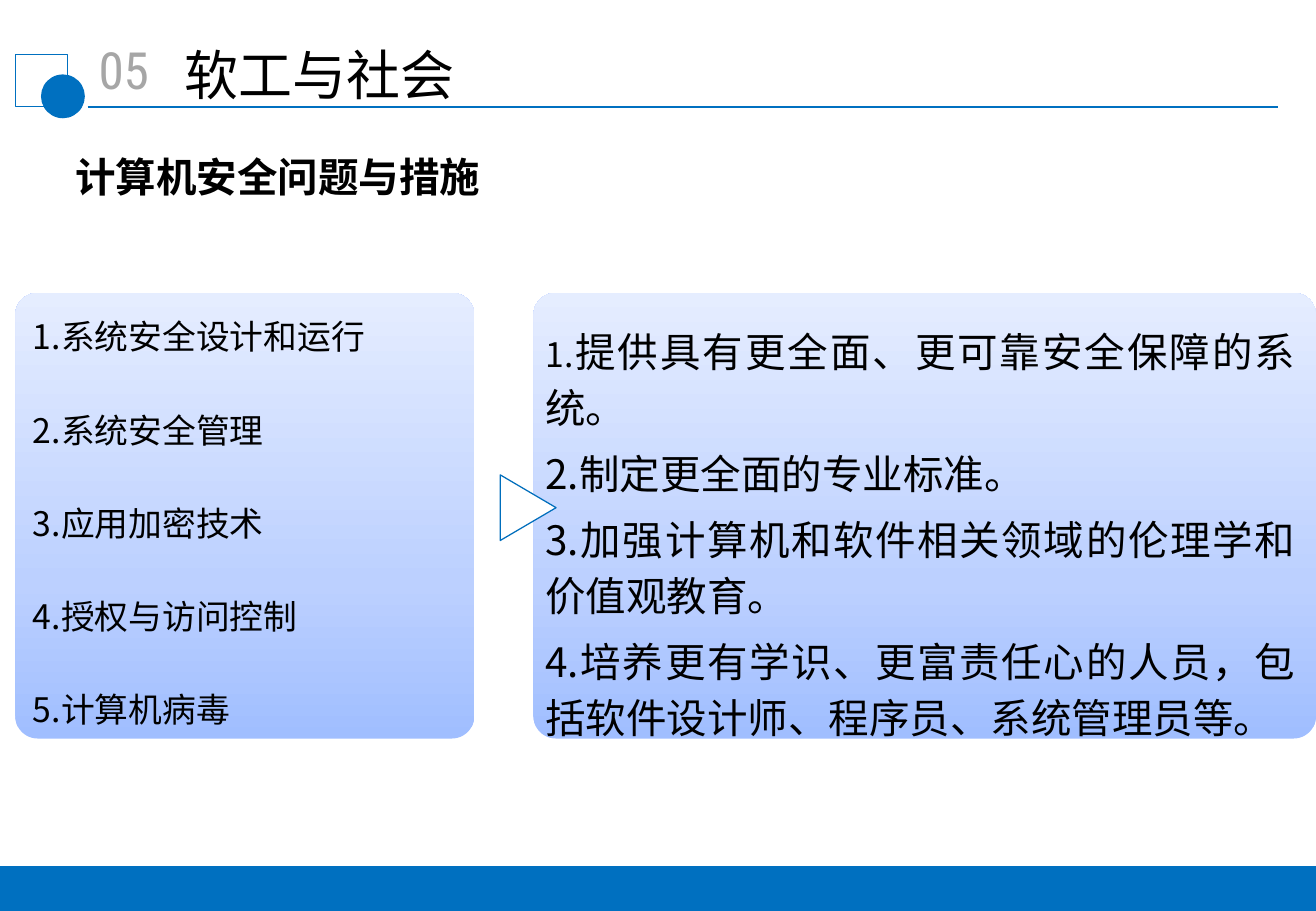
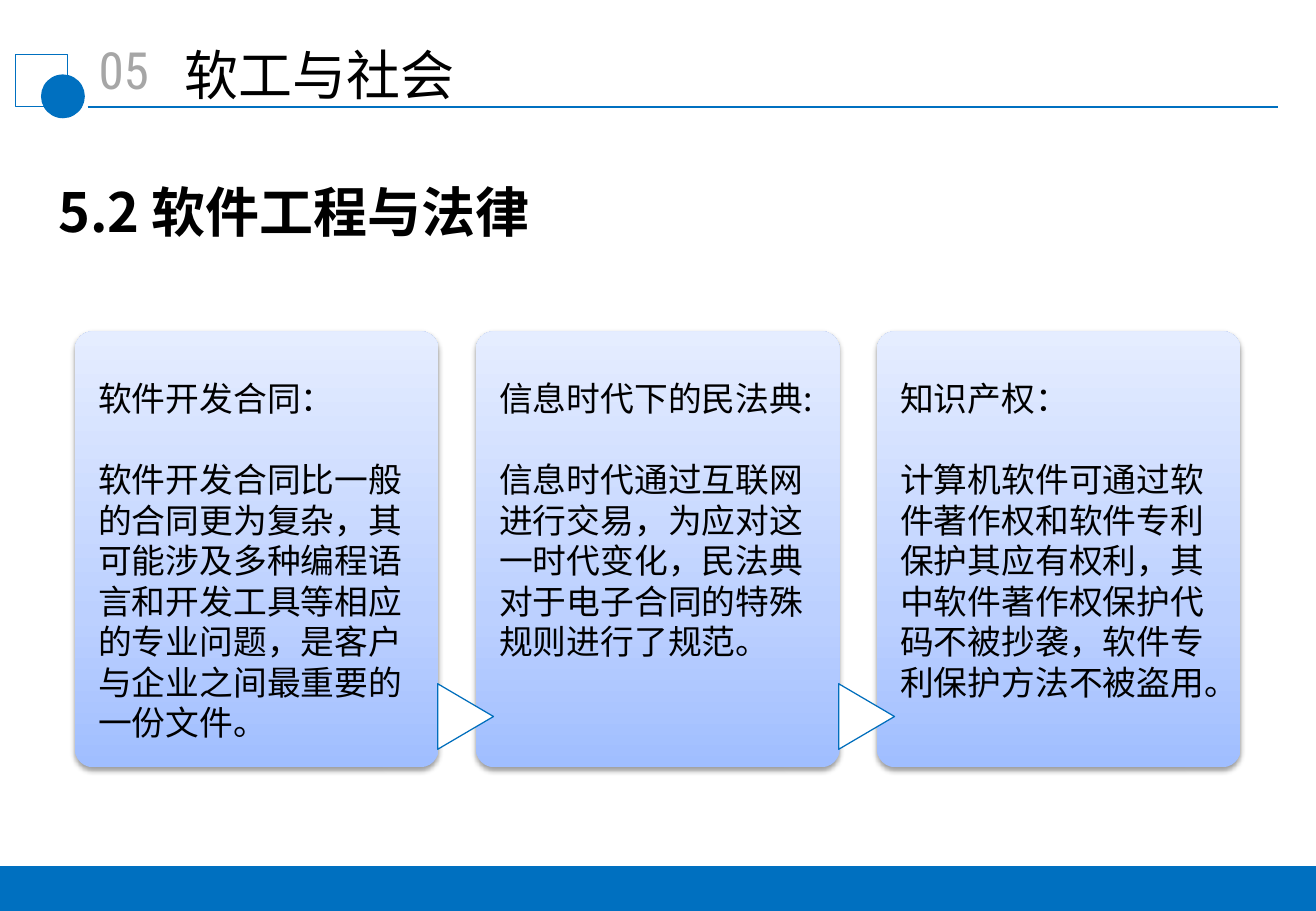
from lxml import etree
from pptx import Presentation
from pptx.dml.color import RGBColor
from pptx.enum.shapes import MSO_CONNECTOR, MSO_SHAPE
from pptx.enum.text import MSO_ANCHOR, MSO_AUTO_SIZE, PP_ALIGN
from pptx.oxml.ns import qn
from pptx.util import Pt

LEFT, CENTER, JUSTIFY = PP_ALIGN.LEFT, PP_ALIGN.CENTER, PP_ALIGN.JUSTIFY
TOP, NO_FIT = MSO_ANCHOR.TOP, MSO_AUTO_SIZE.NONE
STRAIGHT = MSO_CONNECTOR.STRAIGHT
RECTANGLE, OVAL = MSO_SHAPE.RECTANGLE, MSO_SHAPE.OVAL
ROUNDED, TRIANGLE = MSO_SHAPE.ROUNDED_RECTANGLE, MSO_SHAPE.FLOWCHART_EXTRACT

# Content
CHAPTER_NUMBER, CHAPTER_TITLE = "05", "软工与社会"
SAFETY_HEADING = "计算机安全问题与措施"
SAFETY_ISSUES = [
    "1.系统安全设计和运行",
    "2.系统安全管理",
    "3.应用加密技术",
    "4.授权与访问控制",
    "5.计算机病毒",
]
# A paragraph may be a list of (text, size) runs
SAFETY_MEASURES = [
    [("1.", 20), ("提供具有更全面、更可靠安全保障的系统。", 24)],
    "2.制定更全面的专业标准。",
    "3.加强计算机和软件相关领域的伦理学和价值观教育。",
    "4.培养更有学识、更富责任心的人员，包括软件设计师、程序员、系统管理员等。",
]
LAW_HEADING = "5.2 软件工程与法律"
LAW_TOPICS = [
    ("软件开发合同：",
     "软件开发合同比一般的合同更为复杂，其可能涉及多种编程语言和开发工具等相应的专业问题，是客户与企业之间最重要的一份文件。"),
    ("信息时代下的民法典:",
     "信息时代通过互联网进行交易，为应对这一时代变化，民法典对于电子合同的特殊规则进行了规范。"),
    ("知识产权：",
     "计算机软件可通过软件著作权和软件专利保护其应有权利，其中软件著作权保护代码不被抄袭，软件专利保护方法不被盗用。"),
]

# Shared style
COLORS = {"blue": "0070C0", "outline": "006EBC", "gray": "A6A6A6",
          "black": "000000", "white": "FFFFFF"}
CARD_GRADIENT = [(0, "A0BEFF"), (35, "BCD0FF"), (100, "E5EDFF")]
CJK_FONT, TITLE_FONT, NUMBER_FONT = "Noto Sans CJK SC", "Arial", "Roboto Condensed"
SLIDE_WIDTH, SLIDE_HEIGHT = 780, 540
FOOTER_HEIGHT = 26.6
BASELINE_SHIFT = 0.08  # of the text size, applied with exact line spacing


def rgb(name):
    return RGBColor.from_string(COLORS[name])


def format_text(shape, paragraphs, size=20, font=CJK_FONT, color="black", bold=False,
                align=LEFT, leading=1.2, after=0, insets=(7.2, 3.6, 7.2, 3.6)):
    """Fill a shape with paragraphs; leading is a multiple of the size."""
    frame = shape.text_frame
    frame.word_wrap = True
    frame.auto_size = NO_FIT
    frame.vertical_anchor = TOP
    left, top, right, bottom = insets
    if leading:
        top += size * BASELINE_SHIFT
    frame.margin_left, frame.margin_top = Pt(left), Pt(top)
    frame.margin_right, frame.margin_bottom = Pt(right), Pt(bottom)
    for index, content in enumerate(paragraphs):
        paragraph = frame.add_paragraph() if index else frame.paragraphs[0]
        paragraph.alignment = align
        paragraph.space_before = Pt(0)
        paragraph.space_after = Pt(after if index < len(paragraphs) - 1 else 0)
        if leading:
            paragraph.line_spacing = Pt(round(size * leading, 1))
        runs = [(content, size)] if isinstance(content, str) else content
        for text, run_size in runs:
            run = paragraph.add_run()
            run.text = text
            run.font.size = Pt(run_size)
            run.font.bold = bold
            run.font.color.rgb = rgb(color)
            run.font.name = font
            east_asian = etree.SubElement(run.font._element, qn("a:ea"))
            east_asian.set("typeface", CJK_FONT)


def add_text(slide, box, paragraphs, **options):
    shape = slide.shapes.add_textbox(*map(Pt, box))
    format_text(shape, paragraphs, **options)


def add_shape(slide, kind, box, fill=None, line=None):
    shape = slide.shapes.add_shape(kind, *map(Pt, box))
    shape.shadow.inherit = False
    if fill:
        shape.fill.solid()
        shape.fill.fore_color.rgb = rgb(fill)
    else:
        shape.fill.background()
    if line:
        shape.line.color.rgb = rgb(line)
        shape.line.width = Pt(0.75)
    else:
        shape.line.fill.background()
    return shape


def add_card(slide, box, shadow=False):
    card = add_shape(slide, ROUNDED, box)
    card.adjustments[0] = 0.05
    card.fill.gradient()
    properties = card._element.spPr
    stops = properties.find(".//" + qn("a:gsLst"))
    for stop in list(stops):
        stops.remove(stop)
    for position, color in CARD_GRADIENT:
        stop = etree.SubElement(stops, qn("a:gs"), pos=str(position * 1000))
        etree.SubElement(stop, qn("a:srgbClr"), val=color)
    direction = properties.find(".//" + qn("a:lin"))
    direction.set("ang", str(270 * 60000))
    direction.set("scaled", "0")
    if shadow:
        effects = properties.find(qn("a:effectLst"))
        outer = etree.SubElement(effects, qn("a:outerShdw"), blurRad=str(Pt(3.1)),
                                 dist=str(Pt(1.6)), dir=str(90 * 60000), rotWithShape="0")
        color = etree.SubElement(outer, qn("a:srgbClr"), val=COLORS["black"])
        etree.SubElement(color, qn("a:alpha"), val="38000")


def add_arrow(slide, left, top):
    arrow = add_shape(slide, TRIANGLE, (left, top, 38.9, 33.1), "white", "outline")
    arrow.rotation = 90


def add_base_slide(presentation):
    """Title, chapter badge, rule and footer band."""
    slide = presentation.slides.add_slide(presentation.slide_layouts[5])
    title = slide.shapes.title
    title.left, title.top, title.width, title.height = map(Pt, (101.5, 17.3, 356.4, 46.8))
    format_text(title, [CHAPTER_TITLE], size=32, font=TITLE_FONT, leading=1.24,
                insets=(7.9, 3.6, 7.9, 3.6))
    rule = slide.shapes.add_connector(STRAIGHT, Pt(52), Pt(63.2), Pt(757.6), Pt(63.2))
    rule.line.color.rgb = rgb("blue")
    rule.line.width = Pt(1.25)
    etree.SubElement(rule._element.spPr, qn("a:effectLst"))
    add_shape(slide, RECTANGLE, (9.2, 32.2, 31, 31), line="blue")
    add_shape(slide, OVAL, (24.3, 44.1, 26, 26), "blue")
    add_text(slide, (37.4, 19.4, 72, 44.6), [CHAPTER_NUMBER], size=30.4, font=NUMBER_FONT,
             color="gray", align=CENTER, leading=None, insets=(7.9, 3.6, 7.9, 3.6))
    add_shape(slide, RECTANGLE,
              (0, SLIDE_HEIGHT - FOOTER_HEIGHT, SLIDE_WIDTH, FOOTER_HEIGHT), "blue")
    return slide


def add_heading(slide, box, text, size):
    add_text(slide, box, [text], size=size, bold=True, insets=(5, 2.9, 5, 2.9))


def build_safety_slide(presentation):
    slide = add_base_slide(presentation)
    add_heading(slide, (39.6, 85, 311.8, 39.6), SAFETY_HEADING, 24)
    top, height = 173.6, 264.2
    add_card(slide, (9.1, top, 272, height))
    add_text(slide, (12.4, 178.6, 265.7, 254.9), SAFETY_ISSUES, align=JUSTIFY,
             leading=1.38, after=27.6)
    add_card(slide, (316.2, top, SLIDE_WIDTH - 316.2, height))
    add_text(slide, (316.2, 184, 458.6, 259.2), SAFETY_MEASURES, size=24, align=JUSTIFY,
             leading=1.38, after=6)
    add_arrow(slide, 293.6, 284.4)


def build_law_slide(presentation):
    slide = add_base_slide(presentation)
    add_heading(slide, (29.5, 100.1, 336.2, 47.5), LAW_HEADING, 32)
    first_left, top, width, height, pitch = 44.4, 196.4, 215.6, 258.4, 237.7
    lefts = [first_left + index * pitch for index in range(len(LAW_TOPICS))]
    for left, topic in zip(lefts, LAW_TOPICS):
        add_card(slide, (left, top, width, height), shadow=True)
        add_text(slide, (left + 6.7, 218.9, 201.6, 225.4), topic, after=24,
                 insets=(7.2, 3.6, 1, 3.6))
    for left in lefts[:-1]:
        add_arrow(slide, left + width - 3.5, 408.2)


def main():
    presentation = Presentation()
    presentation.slide_width, presentation.slide_height = Pt(SLIDE_WIDTH), Pt(SLIDE_HEIGHT)
    build_safety_slide(presentation)
    build_law_slide(presentation)
    presentation.save("out.pptx")


if __name__ == "__main__":
    main()
